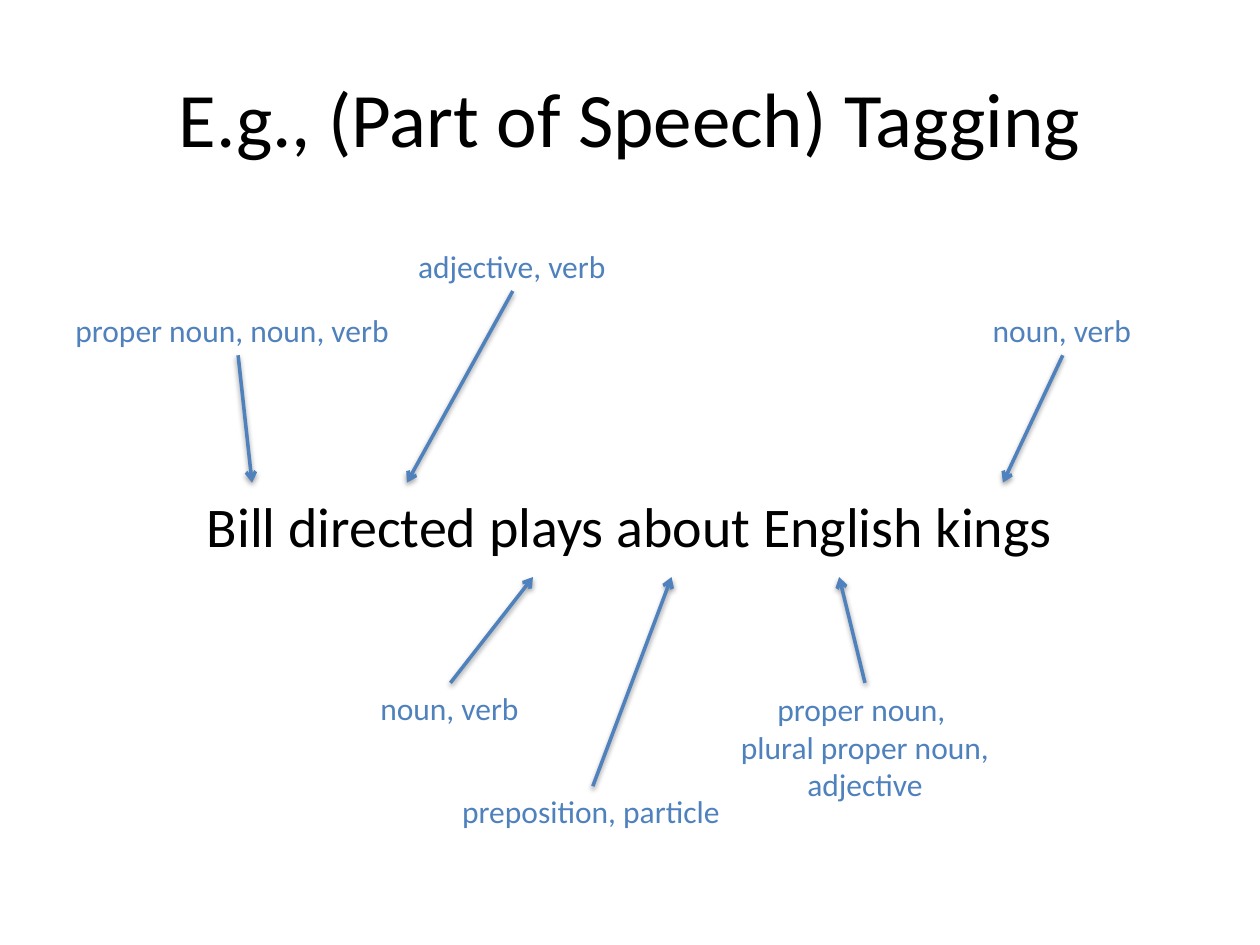
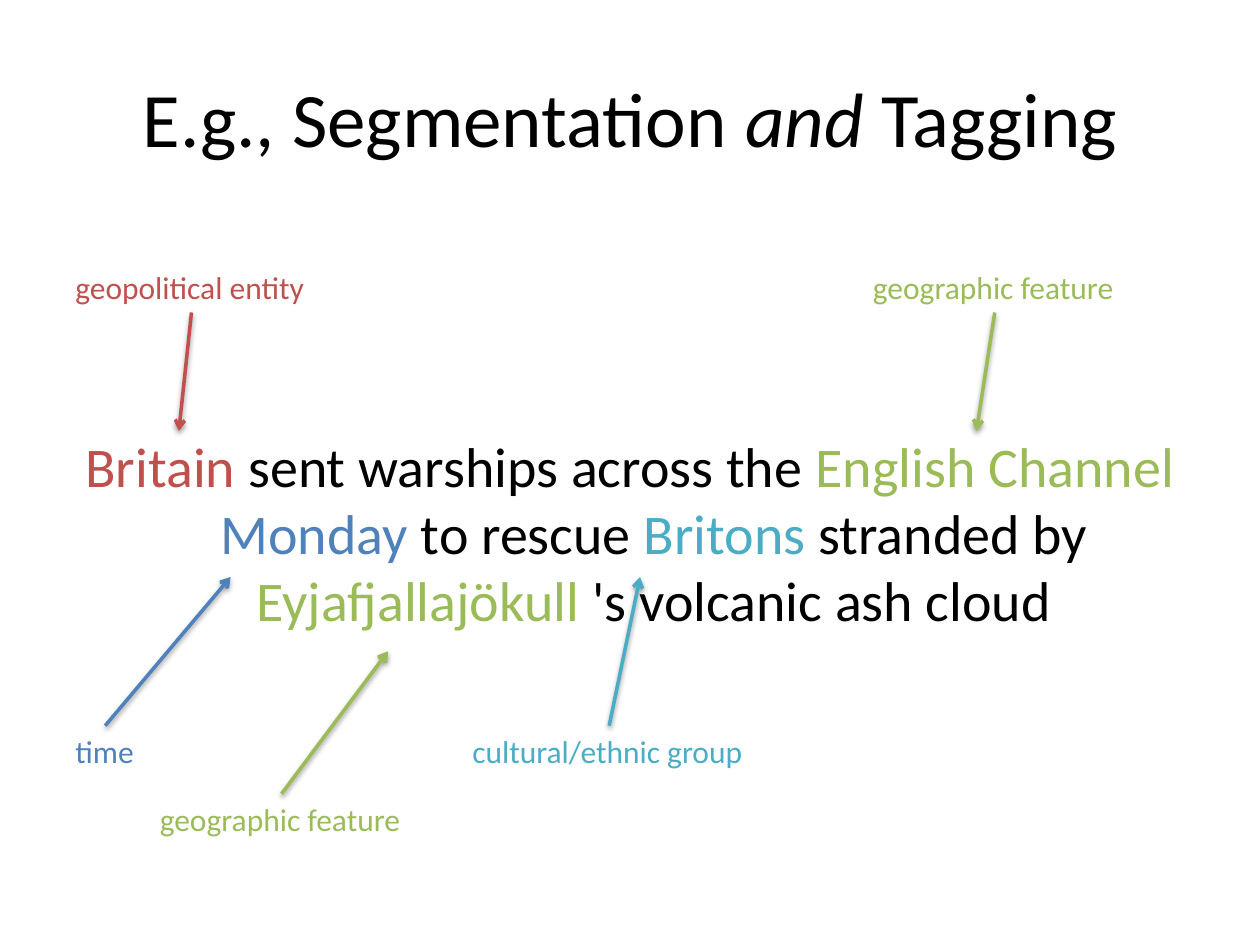
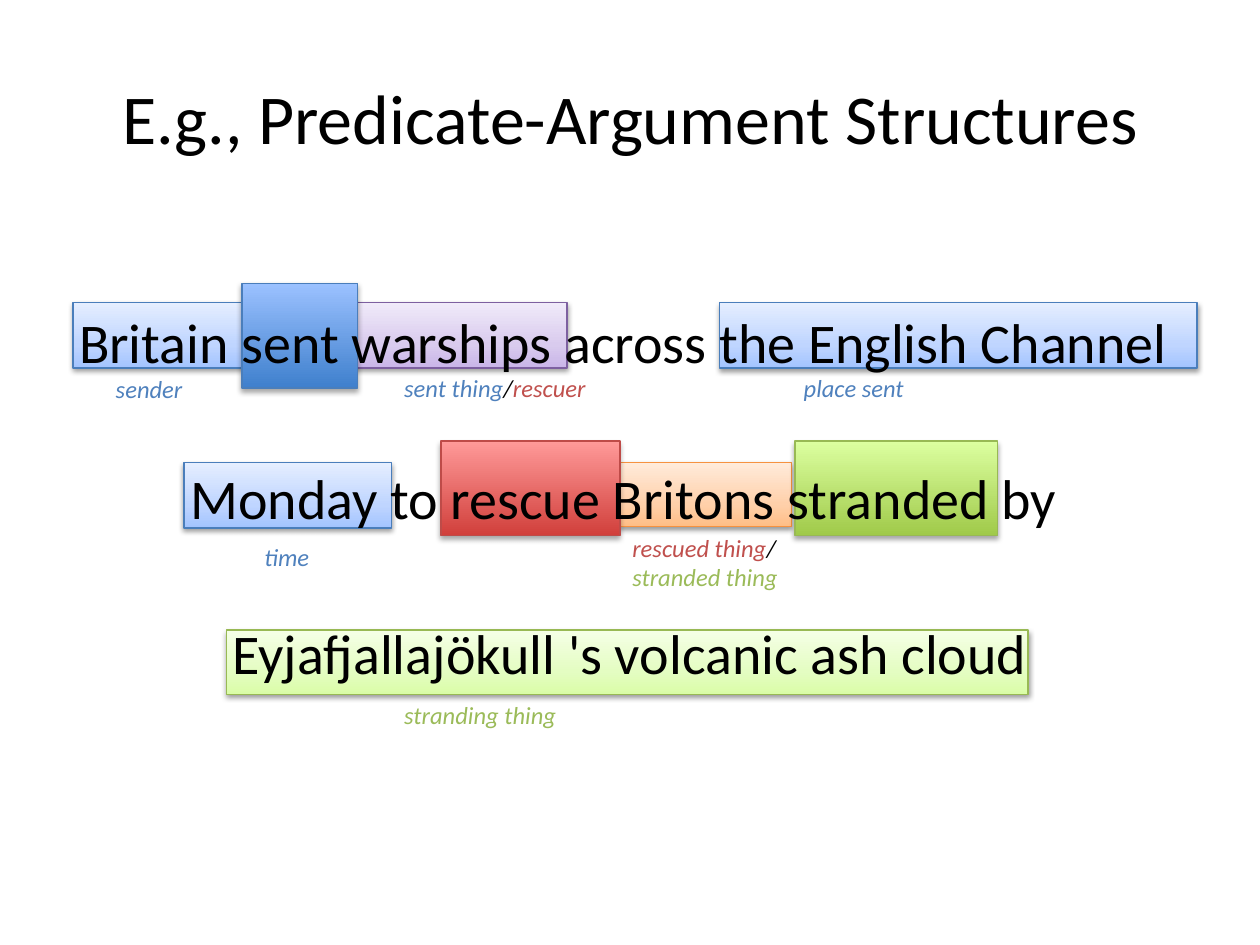
"""Builds three slides on tagging, segmentation and predicate-argument structures."""
from lxml import etree
from pptx import Presentation
from pptx.dml.color import RGBColor
from pptx.enum.shapes import MSO_CONNECTOR, MSO_SHAPE
from pptx.enum.text import MSO_ANCHOR, MSO_AUTO_SIZE, PP_ALIGN
from pptx.oxml.ns import qn
from pptx.util import Inches, Pt

STRAIGHT, RECTANGLE = MSO_CONNECTOR.STRAIGHT, MSO_SHAPE.RECTANGLE
TOP, MIDDLE = MSO_ANCHOR.TOP, MSO_ANCHOR.MIDDLE
LEFT, CENTER = PP_ALIGN.LEFT, PP_ALIGN.CENTER
FIT_TEXT, NO_FIT = MSO_AUTO_SIZE.SHAPE_TO_FIT_TEXT, MSO_AUTO_SIZE.NONE
TOP_SIDE, BOTTOM_SIDE = 0, 2
TITLE_ONLY = 5

BLACK = RGBColor(0x00, 0x00, 0x00)
BLUE = RGBColor(0x4F, 0x81, 0xBD)
RED = RGBColor(0xC0, 0x50, 0x4D)
GREEN = RGBColor(0x9B, 0xBB, 0x59)
AQUA = RGBColor(0x4B, 0xAC, 0xC6)
BLUE_EDGE = RGBColor(0x4A, 0x7E, 0xBB)
RED_EDGE = RGBColor(0xBE, 0x4B, 0x48)
GREEN_EDGE = RGBColor(0x98, 0xB9, 0x54)
PURPLE_EDGE = RGBColor(0x7D, 0x60, 0xA0)
ORANGE_EDGE = RGBColor(0xF6, 0x92, 0x40)

PALE_BLUE = (BLUE_EDGE, ("E5EEFF", "BFD5FF", "A3C4FF"))
PALE_PURPLE = (PURPLE_EDGE, ("F0EAF9", "D9CBEE", "C9B5E8"))
PALE_ORANGE = (ORANGE_EDGE, ("FFEBDB", "FFD0AA", "FFBE86"))
PALE_GREEN = (GREEN_EDGE, ("F5FFE6", "E4FDC2", "DAFDA7"))
STRONG_BLUE = (BLUE_EDGE, ("9BC1FF", "3F80CD"))
STRONG_RED = (RED_EDGE, ("FF9A99", "D1403C"))
STRONG_GREEN = (GREEN_EDGE, ("DCFFA0", "A0CA4A"))


class Deck:
    """Holds the shared style and the current slide."""

    font = "Calibri"
    sentence_size, tag_size, role_size = 32, 18, 14
    hanging = Inches(0.38)

    def __init__(self):
        self.presentation = Presentation()
        self.presentation.slide_width = Inches(10)
        self.presentation.slide_height = Inches(7.5)
        self.slide = None

    def start(self, title_runs, size=44):
        """Add a slide with its title."""
        layout = self.presentation.slide_layouts[TITLE_ONLY]
        self.slide = self.presentation.slides.add_slide(layout)
        title = self.slide.shapes.title
        title.left, title.top = Inches(0.5), Inches(0.3)
        title.width, title.height = Inches(9), Inches(1.25)
        title.text_frame.vertical_anchor = MIDDLE
        paragraph = title.text_frame.paragraphs[0]
        paragraph.alignment = CENTER
        self.add_runs(paragraph, title_runs, size)

    def add_runs(self, paragraph, runs, size, italic=False):
        """Add (text, colour, italic) runs, breaking lines at newlines."""
        for text, color, *slant in runs:
            for index, line in enumerate(text.split("\n")):
                if index:
                    paragraph.add_line_break()
                if not line:
                    continue
                run = paragraph.add_run()
                run.text = line
                run.font.name = self.font
                run.font.size = Pt(size)
                run.font.italic = slant[0] if slant else italic
                run.font.color.rgb = color

    def text_box(self, left, top, width, height):
        """Add an empty text box."""
        return self.slide.shapes.add_textbox(
            Inches(left), Inches(top), Inches(width), Inches(height))

    def sentence(self, lines, top=1.75, height=4.95, gap=6, inset=None):
        """Add the example sentence, one paragraph for each list of runs."""
        frame = self.text_box(0.5, top, 9, height).text_frame
        frame.word_wrap = True
        frame.auto_size = NO_FIT
        frame.vertical_anchor = MIDDLE
        if inset:
            frame.vertical_anchor = TOP
            frame.margin_top = Inches(inset)
        for index, runs in enumerate(lines):
            paragraph = frame.add_paragraph() if index else frame.paragraphs[0]
            paragraph.alignment = CENTER
            paragraph.space_before = Pt(0 if inset and not index else gap)
            properties = paragraph._p.get_or_add_pPr()
            properties.set("marL", str(self.hanging))
            properties.set("indent", str(-self.hanging))
            self.add_runs(paragraph, runs, self.sentence_size)

    def label(self, runs, box, size, italic=False, align=LEFT):
        """Add a label that does not wrap."""
        label = self.text_box(*box)
        frame = label.text_frame
        frame.word_wrap = False
        frame.auto_size = FIT_TEXT
        frame.vertical_anchor = MIDDLE if align == CENTER else TOP
        frame.paragraphs[0].alignment = align
        self.add_runs(frame.paragraphs[0], runs, size, italic)
        return label

    def role(self, runs, left, top, width, height=0.34):
        """Add an italic role under a phrase."""
        self.label(runs, (left, top, width, height), self.role_size, True)

    def tag(self, text, color, box, tip, align=LEFT):
        """Add a tag and an arrow from it to its word."""
        tag = self.label([(text, color)], box, self.tag_size, align=align)
        left, top, width, height = box
        tip_x, tip_y = tip
        below = tip_y > top
        arrow = self.slide.shapes.add_connector(
            STRAIGHT, Inches(left + width / 2), Inches(top + height * below),
            Inches(tip_x), Inches(tip_y))
        arrow.begin_connect(tag, BOTTOM_SIDE if below else TOP_SIDE)
        arrow.line.color.rgb = color
        arrow.line.width = Pt(2)
        etree.SubElement(arrow.get_or_add_ln(), qn("a:tailEnd"), type="arrow")
        self.cast_shadow(arrow, 38, 1.6)

    def phrase(self, style, left, top, width, height):
        """Add a shaded rectangle behind a phrase."""
        edge, colors = style
        phrase = self.slide.shapes.add_shape(
            RECTANGLE, Inches(left), Inches(top), Inches(width), Inches(height))
        phrase.fill.gradient()
        phrase.fill.gradient_angle = 270
        stops = phrase._element.spPr.find(".//" + qn("a:gsLst"))
        for stop in list(stops):
            stops.remove(stop)
        pale = len(colors) == 3
        for position, color in zip((0, 65, 100) if pale else (0, 100), colors):
            stop = etree.SubElement(stops, qn("a:gs"), pos=str(position * 1000))
            etree.SubElement(stop, qn("a:srgbClr"), val=color)
        phrase.line.color.rgb = edge
        phrase.line.width = Pt(0.75)
        self.cast_shadow(phrase, *((38, 1.6) if pale else (35, 1.8)))

    def cast_shadow(self, shape, opacity, distance):
        """Give a shape a soft shadow straight below it."""
        effects = etree.SubElement(shape._element.spPr, qn("a:effectLst"))
        shadow = etree.SubElement(
            effects, qn("a:outerShdw"), blurRad=str(Pt(3.1)),
            dist=str(Pt(distance)), dir="5400000", rotWithShape="0")
        color = etree.SubElement(shadow, qn("a:srgbClr"), val=str(BLACK))
        etree.SubElement(color, qn("a:alpha"), val=str(opacity * 1000))


def tagging(deck):
    """Build the part of speech slide."""
    deck.start([("E.g., (Part of Speech) Tagging", BLACK)])
    deck.sentence([[("Bill directed plays about English kings", BLACK)]], 3.42, 1.5)
    above, below = 3.83, 4.58
    for text, box, tip in (
        ("proper noun, noun, verb", (0.5, 2.42, 2.78, 0.4), (2, above)),
        ("noun, verb", (2.92, 5.42, 1.31, 0.4), (4.23, below)),
        ("noun, verb", (7.78, 2.42, 1.31, 0.4), (7.96, above)),
        ("adjective, verb", (3.22, 1.91, 1.7, 0.4), (3.23, above)),
        ("preposition, particle", (3.57, 6.24, 2.27, 0.4), (5.33, below)),
    ):
        deck.tag(text, BLUE, box, tip)
    deck.tag("proper noun, \nplural proper noun,\nadjective", BLUE,
             (5.77, 5.42, 2.19, 1.01), (6.66, below), CENTER)


def segmentation(deck):
    """Build the segmentation and tagging slide."""
    deck.start([("E.g., Segmentation ", BLACK), ("and", BLACK, True),
                (" Tagging", BLACK)])
    deck.sentence([[
        ("Britain ", RED), ("sent warships across the ", BLACK),
        ("English Channel ", GREEN), ("Monday", BLUE), (" to rescue ", BLACK),
        ("Britons ", AQUA), ("stranded by ", BLACK),
        ("Eyjafjallajökull ", GREEN), ("'s volcanic ash cloud", BLACK),
    ]])
    for text, color, left, top, width, tip in (
        ("geopolitical entity", RED, 0.5, 2.08, 2.04, (1.42, 3.42)),
        ("geographic feature", GREEN, 6.83, 2.08, 2.13, (7.75, 3.42)),
        ("time", BLUE, 0.5, 5.76, 0.67, (1.83, 4.58)),
        ("cultural/ethnic group", AQUA, 3.65, 5.76, 2.37, (5.08, 4.58)),
        ("geographic feature", GREEN, 1.17, 6.3, 2.13, (3.08, 5.17)),
    ):
        deck.tag(text, color, (left, top, width, 0.4), tip)


def predicates(deck):
    """Build the predicate-argument slide."""
    deck.start([("E.g., Predicate-Argument Structures", BLACK)], 40)
    for style, *box in (
        (PALE_ORANGE, 4.92, 3.67, 1.36, 0.51),
        (STRONG_RED, 3.5, 3.5, 1.42, 0.75),
        (PALE_BLUE, 1.46, 3.67, 1.65, 0.52),
        (PALE_BLUE, 5.71, 2.4, 3.79, 0.52),
        (PALE_PURPLE, 2.75, 2.4, 1.75, 0.52),
        (PALE_BLUE, 0.58, 2.4, 1.42, 0.52),
        (STRONG_BLUE, 1.92, 2.25, 0.92, 0.83),
        (STRONG_GREEN, 6.31, 3.5, 1.61, 0.75),
        (PALE_GREEN, 1.8, 5, 6.36, 0.51),
    ):
        deck.phrase(style, *box)
    deck.role([("sender", BLUE)], 0.82, 2.92, 0.78)
    deck.role([("sent thing", BLUE), ("/", BLACK), ("rescuer", RED)], 3.11, 2.91, 1.7)
    deck.role([("place sent", BLUE)], 6.28, 2.91, 1.05)
    deck.role([("time", BLUE)], 2, 4.25, 0.61)
    deck.role([("rescued thing", RED), ("/\n", BLACK), ("stranded thing", GREEN)],
              4.92, 4.18, 1.41, 0.57)
    deck.role([("stranding thing", GREEN)], 3.11, 5.51, 1.46)
    deck.sentence([
        [("Britain sent warships across the English Channel ", BLACK)],
        [("Monday to rescue Britons stranded by ", BLACK)],
        [("Eyjafjallajökull 's volcanic ash cloud", BLACK)],
    ], gap=50.6, inset=0.69)


def main():
    """Build and save the deck."""
    deck = Deck()
    for build in (tagging, segmentation, predicates):
        build(deck)
    deck.presentation.save("out.pptx")


if __name__ == "__main__":
    main()
